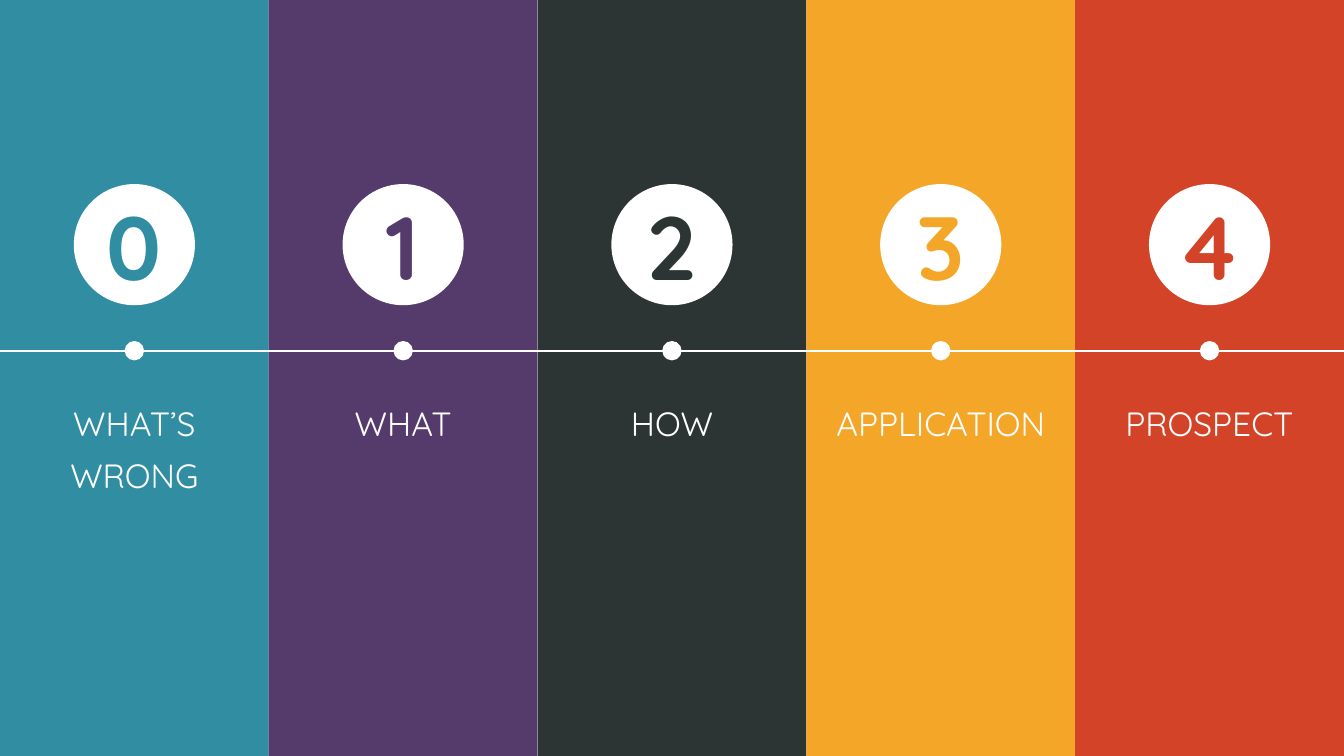
"""Build a five-stage timeline slide with coloured columns."""
from dataclasses import dataclass

from lxml import etree
from pptx import Presentation
from pptx import util as u
from pptx.dml.color import RGBColor
from pptx.enum import shapes, text
from pptx.oxml import ns

WHITE = RGBColor(0xFF, 0xFF, 0xFF)
TEAL = RGBColor(0x30, 0x8D, 0xA2)
PURPLE = RGBColor(0x55, 0x3A, 0x6C)
CHARCOAL = RGBColor(0x2C, 0x35, 0x33)
AMBER = RGBColor(0xF4, 0xA6, 0x28)
RED = RGBColor(0xD3, 0x43, 0x28)

FONT = "Quicksand"
SLIDE_WIDTH, SLIDE_HEIGHT = 25.4, 14.29
LINE_Y = 6.63
BADGE_SIZE, BADGE_TOP = 2.29, 3.48
DOT_SIZE = 0.34
LABEL_TOP = 7.29


@dataclass(frozen=True)
class Stage:
    label: str
    color: RGBColor
    label_width: float = 3.07
    label_height: float = 1.19


STAGES = (
    Stage("WHAT’S WRONG", TEAL, label_height=2.16),
    Stage("WHAT", PURPLE),
    Stage("HOW", CHARCOAL),
    Stage("APPLICATION", AMBER, label_width=5.08),
    Stage("PROSPECT", RED, label_width=3.58),
)
COLUMN_WIDTH = SLIDE_WIDTH / len(STAGES)


def add_filled(page, kind, left: float, top: float, width: float, height: float, color: RGBColor):
    shape = page.shapes.add_shape(kind, u.Cm(left), u.Cm(top), u.Cm(width), u.Cm(height))
    shape.shadow.inherit = False
    shape.fill.solid()
    shape.fill.fore_color.rgb = color
    shape.line.fill.background()
    return shape


def add_circle(page, center: float, top: float, size: float):
    return add_filled(page, shapes.MSO_SHAPE.OVAL, center - size / 2, top, size, size, WHITE)


def write(box, content: str, size: int, color: RGBColor, bold: bool, spacing: float) -> None:
    frame = box.text_frame
    frame.word_wrap = True
    frame.margin_left = frame.margin_right = u.Cm(0.18)
    frame.margin_top = frame.margin_bottom = u.Cm(0.1)
    paragraph = frame.paragraphs[0]
    paragraph.text = content
    paragraph.alignment = text.PP_ALIGN.CENTER
    paragraph.line_spacing = spacing
    font = paragraph.font
    font.name, font.size, font.bold = FONT, u.Pt(size), bold
    font.color.rgb = color


def add_timeline(page) -> None:
    line = page.shapes.add_connector(
        shapes.MSO_CONNECTOR.STRAIGHT, 0, u.Cm(LINE_Y), u.Cm(SLIDE_WIDTH), u.Cm(LINE_Y)
    )
    line.line.color.rgb = WHITE
    line.line.width = u.Pt(1)
    etree.SubElement(line._element.spPr, ns.qn("a:effectLst"))


def add_stage(page, number: int, stage: Stage) -> None:
    center = (number + 0.5) * COLUMN_WIDTH
    dot = add_circle(page, center, LINE_Y - DOT_SIZE / 2, DOT_SIZE)
    dot.line.color.rgb = WHITE
    dot.line.width = u.Pt(0.75)

    badge = add_circle(page, center, BADGE_TOP, BADGE_SIZE)
    badge.text_frame.vertical_anchor = text.MSO_ANCHOR.MIDDLE
    write(badge, str(number), 48, stage.color, True, 1.0)

    label = page.shapes.add_textbox(
        u.Cm(center - stage.label_width / 2), u.Cm(LABEL_TOP),
        u.Cm(stage.label_width), u.Cm(stage.label_height),
    )
    write(label, stage.label, 18, WHITE, False, 1.3)
    label.text_frame.auto_size = text.MSO_AUTO_SIZE.SHAPE_TO_FIT_TEXT


def main() -> None:
    deck = Presentation()
    deck.slide_width, deck.slide_height = u.Cm(SLIDE_WIDTH), u.Cm(SLIDE_HEIGHT)
    page = deck.slides.add_slide(deck.slide_layouts[6])
    for number, stage in enumerate(STAGES):
        add_filled(page, shapes.MSO_SHAPE.RECTANGLE, number * COLUMN_WIDTH, 0,
                   COLUMN_WIDTH, SLIDE_HEIGHT, stage.color)
    add_timeline(page)
    for number, stage in enumerate(STAGES):
        add_stage(page, number, stage)
    deck.save("out.pptx")


if __name__ == "__main__":
    main()
